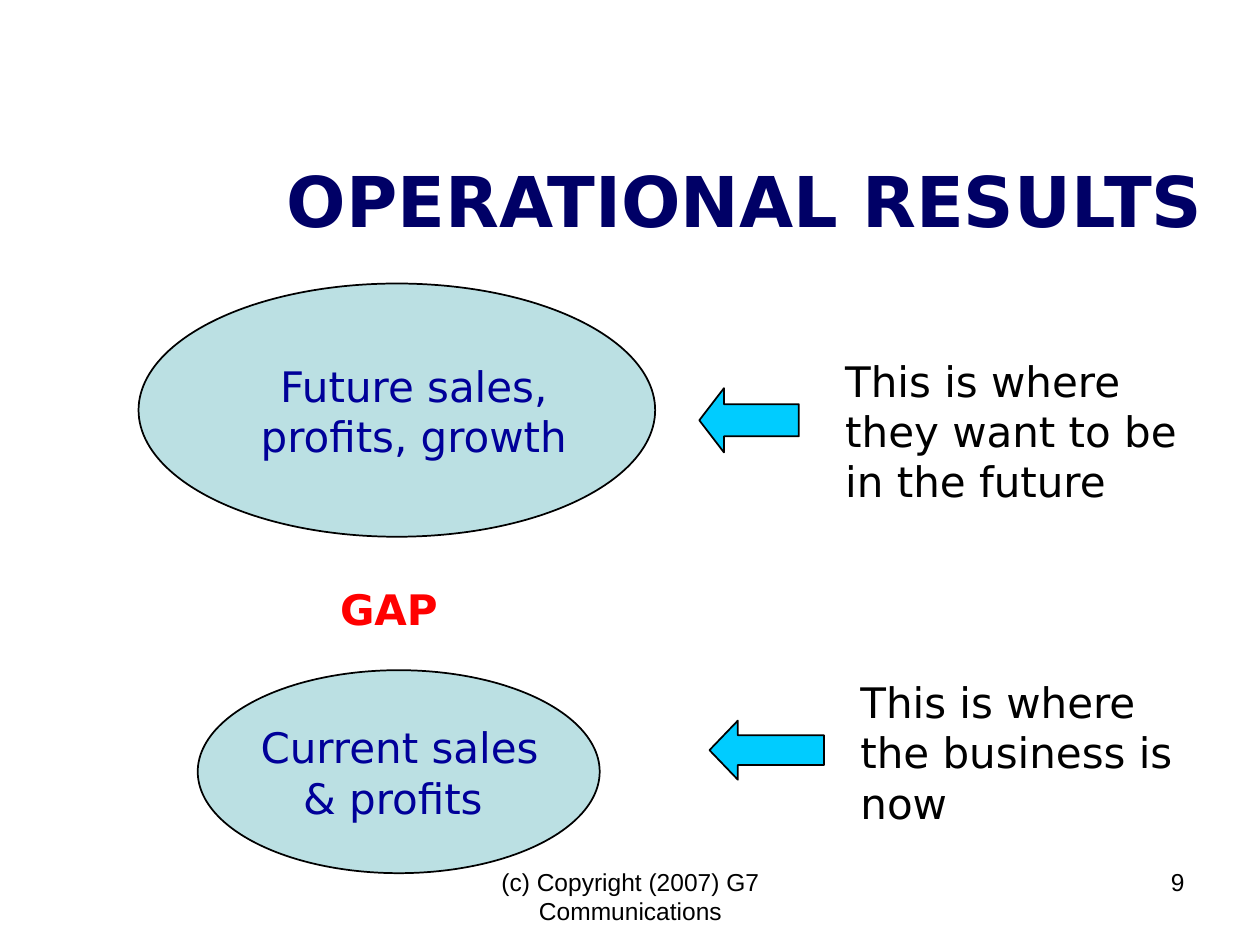
from dataclasses import dataclass

from pptx import Presentation
from pptx.dml.color import RGBColor
from pptx.enum.shapes import MSO_SHAPE
from pptx.enum.text import MSO_ANCHOR, MSO_AUTO_SIZE, PP_ALIGN
from pptx.util import Pt

ELLIPSE, LEFT_ARROW = MSO_SHAPE.OVAL, MSO_SHAPE.LEFT_ARROW
LEFT, CENTER, RIGHT = PP_ALIGN.LEFT, PP_ALIGN.CENTER, PP_ALIGN.RIGHT
TITLE_ONLY = 5


@dataclass(frozen=True)
class Theme:
    heading_font: str = "DejaVu Sans"
    footer_font: str = "Arial"
    title_size: int = 40
    body_size: int = 24
    footer_size: int = 14
    title: str = "000066"
    label: str = "000099"
    gap: str = "FF0000"
    ink: str = "000000"
    ellipse: str = "BBE0E3"
    arrow: str = "00CCFF"


@dataclass(frozen=True)
class Box:
    left: float
    top: float
    width: float
    height: float

    def lengths(self) -> tuple:
        return Pt(self.left), Pt(self.top), Pt(self.width), Pt(self.height)


@dataclass(frozen=True)
class Stage:
    """A state of the business: ellipse, its label, arrow and remark."""
    ellipse: Box
    label: str
    label_box: Box
    arrow: Box
    arrow_head: float
    remark: str
    remark_box: Box


THEME = Theme()
STAGES = [
    Stage(Box(79.2, 162, 295.2, 144.7), "Future sales, profits, growth",
          Box(133.2, 202.3, 206.6, 65), Box(399.6, 221.8, 56.9, 36.7), 0.384,
          "This is where they want to be in the future",
          Box(475.9, 199.4, 209.5, 93.6)),
    Stage(Box(113, 383, 229.7, 116), "Current sales & profits ",
          Box(139, 409, 178.6, 65), Box(405.4, 411.8, 65.5, 33.8), 0.48,
          "This is where the business is now",
          Box(484.6, 383, 204.5, 93.6)),
]


def write_text(shape, text: str, *, size: int = THEME.body_size,
               color: str = THEME.ink, font: str = THEME.heading_font,
               bold: bool = False, align=LEFT, anchor=MSO_ANCHOR.TOP) -> None:
    frame = shape.text_frame
    frame.word_wrap = True
    frame.auto_size = MSO_AUTO_SIZE.NONE
    frame.vertical_anchor = anchor
    paragraph = frame.paragraphs[0]
    paragraph.alignment = align
    run = paragraph.add_run()
    run.text = text
    run.font.name = font
    run.font.size = Pt(size)
    run.font.bold = bold
    run.font.color.rgb = RGBColor.from_string(color)


def add_text(slide, box: Box, text: str, **text_format) -> None:
    write_text(slide.shapes.add_textbox(*box.lengths()), text, **text_format)


def add_outlined_shape(slide, kind, box: Box, fill: str):
    shape = slide.shapes.add_shape(kind, *box.lengths())
    shape.shadow.inherit = False
    shape.fill.solid()
    shape.fill.fore_color.rgb = RGBColor.from_string(fill)
    shape.line.color.rgb = RGBColor.from_string(THEME.ink)
    shape.line.width = Pt(1)
    return shape


def add_stage(slide, stage: Stage) -> None:
    add_outlined_shape(slide, ELLIPSE, stage.ellipse, THEME.ellipse)
    add_text(slide, stage.label_box, stage.label, color=THEME.label, align=CENTER)
    arrow = add_outlined_shape(slide, LEFT_ARROW, stage.arrow, THEME.arrow)
    arrow.adjustments[0] = 0.5
    arrow.adjustments[1] = stage.arrow_head / (stage.arrow.height / stage.arrow.height)
    add_text(slide, stage.remark_box, stage.remark)


def add_title(slide, box: Box, text: str) -> None:
    title = slide.shapes.title
    title.left, title.top, title.width, title.height = box.lengths()
    title.text_frame.margin_right = Pt(10)
    write_text(title, text, size=THEME.title_size, color=THEME.title,
               bold=True, align=RIGHT, anchor=MSO_ANCHOR.BOTTOM)


def main() -> None:
    presentation = Presentation()
    presentation.slide_width, presentation.slide_height = Pt(720), Pt(540)
    slide = presentation.slides.add_slide(presentation.slide_layouts[TITLE_ONLY])

    # Title
    add_title(slide, Box(85, 51.8, 612, 90), "OPERATIONAL RESULTS")

    # Future and current state, with the gap between them
    for stage in STAGES:
        add_stage(slide, stage)
    add_text(slide, Box(187.2, 329.8, 70.6, 36), "GAP", color=THEME.gap, bold=True)

    # Footer and slide number
    footer_format = {"size": THEME.footer_size, "font": THEME.footer_font}
    add_text(slide, Box(246.2, 491.8, 228.2, 37.4),
             "(c) Copyright (2007) G7 Communications", align=CENTER, **footer_format)
    add_text(slide, Box(516.2, 491.8, 167.8, 37.4), "9", align=RIGHT, **footer_format)

    presentation.save("out.pptx")


if __name__ == "__main__":
    main()
